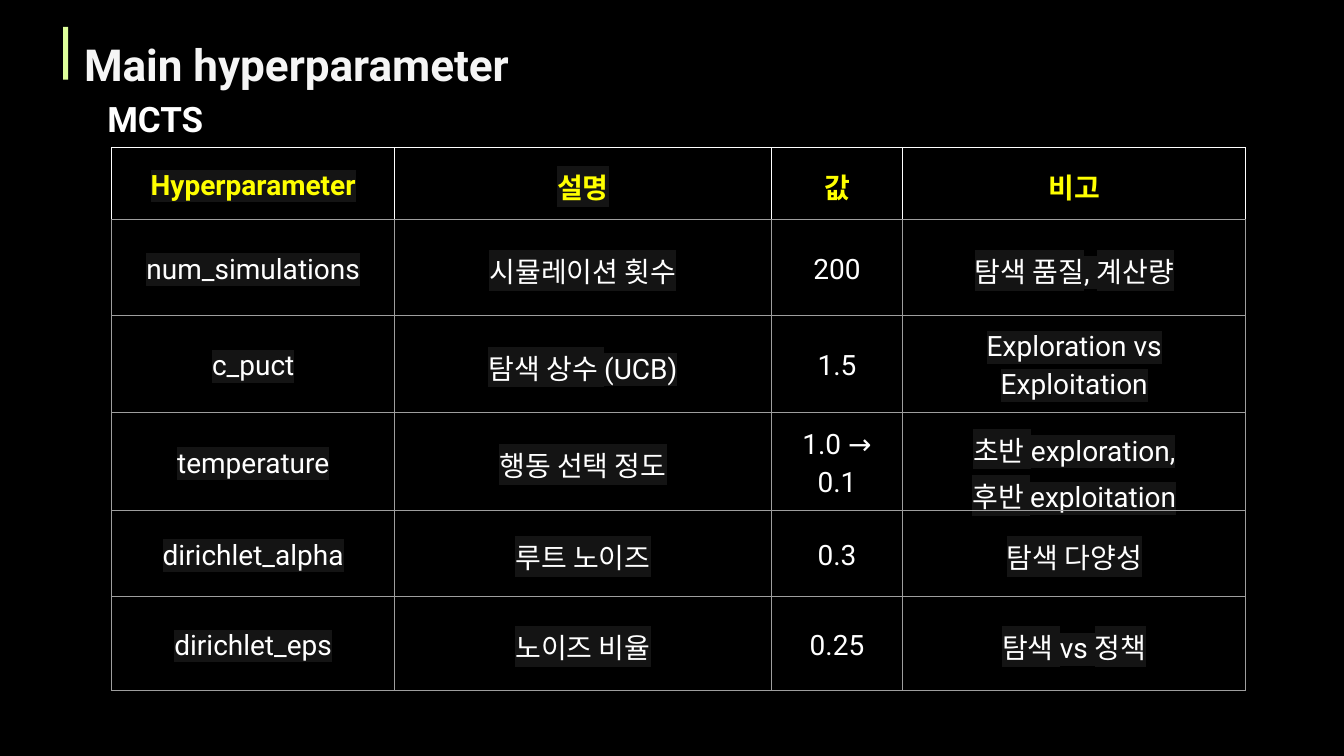
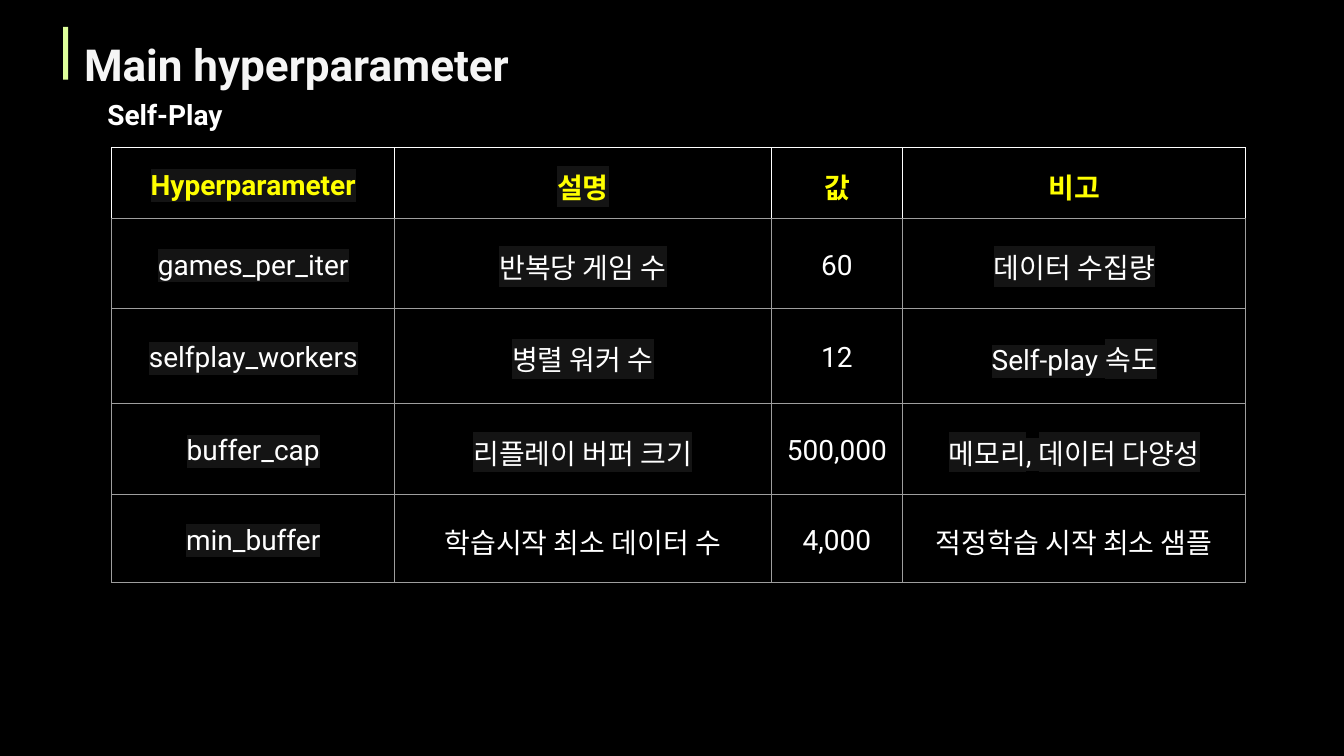
from collections import namedtuple
from dataclasses import dataclass

import lxml.etree
import pptx
import pptx.dml.color
import pptx.enum.shapes
import pptx.enum.text
import pptx.oxml.ns
import pptx.util

Box = namedtuple("Box", "x y w h")
Row = namedtuple("Row", "height cells marked")

COLUMNS, ROWS = 160, 90
UNIT = pptx.util.Inches(1) // 12


@dataclass(frozen=True)
class Theme:
    font: str = "Roboto"
    background: str = "000000"
    title: str = "F5F5F5"
    accent: str = "DEFF9A"
    header: str = "FFFF00"
    text: str = "FFFFFF"
    marker: str = "141414"
    border: str = "9E9E9E"
    header_border: str = "FFFFFF"
    title_size: float = 31.5
    table_size: float = 20
    border_width: float = 0.75
    inset: float = 0.1


THEME = Theme()
COLUMN_WIDTHS = (33.7, 44.8, 15.7, 40.8)
HEADER = ("Hyperparameter", "설명", "값", "비고")
MARKED = (0, 1, 3)

MCTS = (
    Row(8.5, HEADER, (0, 1)),
    Row(11.4, ("num_simulations", "시뮬레이션 횟수", "200", "탐색 품질, 계산량"), MARKED),
    Row(10, ("c_puct", "탐색 상수 (UCB)", "1.5", "Exploration vs Exploitation"), MARKED),
    Row(9.2, ("temperature", "행동 선택 정도", "1.0 → 0.1",
              "초반 exploration,\n후반 exploitation"), MARKED),
    Row(10.3, ("dirichlet_alpha", "루트 노이즈", "0.3", "탐색 다양성"), MARKED),
    Row(11.2, ("dirichlet_eps", "노이즈 비율", "0.25", "탐색 vs 정책"), MARKED),
)
SELF_PLAY = (
    Row(8.4, HEADER, (0, 1)),
    Row(10.7, ("games_per_iter", "반복당 게임 수", "60", "데이터 수집량"), MARKED),
    Row(11.3, ("selfplay_workers", "병렬 워커 수", "12", "Self-play 속도"), MARKED),
    Row(10.9, ("buffer_cap", "리플레이 버퍼 크기", "500,000", "메모리, 데이터 다양성"), MARKED),
    Row(10.4, ("min_buffer", "학습시작 최소 데이터 수", "4,000", "적정학습 시작 최소 샘플"), (0,)),
)


def units(n):
    return pptx.util.Emu(round(n * UNIT))


def rgb(color):
    return pptx.dml.color.RGBColor.from_string(color)


def style(p, size, color, bold):
    p.font.name = THEME.font
    p.font.size = pptx.util.Pt(size)
    p.font.bold = bold
    p.font.color.rgb = rgb(color)


def set_insets(target, inset):
    margin = pptx.util.Inches(inset)
    target.margin_left = target.margin_right = margin
    target.margin_top = target.margin_bottom = margin


def add_color(parent, tag, color):
    holder = lxml.etree.SubElement(parent, pptx.oxml.ns.qn(tag))
    lxml.etree.SubElement(holder, pptx.oxml.ns.qn("a:srgbClr"), val=color)


def set_borders(cell, sides, bottom):
    tcPr = cell._tc.get_or_add_tcPr()
    colors = {"a:lnL": sides, "a:lnR": sides, "a:lnT": sides, "a:lnB": bottom}
    for i, (tag, color) in enumerate(colors.items()):
        ln = lxml.etree.Element(pptx.oxml.ns.qn(tag),
                                w=str(pptx.util.Pt(THEME.border_width)))
        add_color(ln, "a:solidFill", color)
        tcPr.insert(i, ln)


def add_text(slide, box, text, size, color, inset, spacing=None):
    sp = slide.shapes.add_textbox(*map(units, box))
    tf = sp.text_frame
    tf.word_wrap = True
    tf.auto_size = pptx.enum.text.MSO_AUTO_SIZE.SHAPE_TO_FIT_TEXT
    set_insets(tf, inset)
    p = tf.paragraphs[0]
    p.text = text
    p.line_spacing = spacing
    style(p, size, color, True)


def add_heading(slide, box, title):
    bar_width, gap = 0.6, 2.5
    text_box = Box(box.x + gap, box.y, box.w - gap, box.h)
    add_text(slide, text_box, title, THEME.title_size, THEME.title, 0, 1.2)
    bar = slide.shapes.add_shape(pptx.enum.shapes.MSO_SHAPE.RECTANGLE,
                                 *map(units, (box.x, box.y, bar_width, box.h)))
    bar.shadow.inherit = False
    bar.fill.solid()
    bar.fill.fore_color.rgb = rgb(THEME.accent)
    bar.line.fill.background()


def fill_cell(cell, text, is_header, marked):
    cell.fill.background()
    cell.vertical_anchor = pptx.enum.text.MSO_ANCHOR.MIDDLE
    set_insets(cell, THEME.inset)
    sides = THEME.header_border if is_header else THEME.border
    set_borders(cell, sides, THEME.border)
    cell.text_frame.text = text
    for p in cell.text_frame.paragraphs:
        p.alignment = pptx.enum.text.PP_ALIGN.CENTER
        p.line_spacing = 1.15
        style(p, THEME.table_size, THEME.header if is_header else THEME.text, is_header)
        if marked:
            for r in p.runs:
                add_color(r._r.get_or_add_rPr(), "a:highlight", THEME.marker)


def add_parameter_table(slide, box, rows):
    frame = slide.shapes.add_table(len(rows), len(COLUMN_WIDTHS), *map(units, box))
    table = frame.table
    table.first_row = table.horz_banding = False
    for column, width in zip(table.columns, COLUMN_WIDTHS):
        column.width = units(width)
    for i, row in enumerate(rows):
        table.rows[i].height = units(row.height)
        for j, text in enumerate(row.cells):
            fill_cell(table.cell(i, j), text, i == 0, j in row.marked)


def add_parameter_slide(prs, subtitle, subtitle_size, rows):
    slide = prs.slides.add_slide(prs.slide_layouts[6])
    slide.background.fill.solid()
    slide.background.fill.fore_color.rgb = rgb(THEME.background)
    add_heading(slide, Box(7.5, 3.2, 152.1, 6.3), "Main hyperparameter")
    add_text(slide, Box(11.6, 10.4, 34.2, 7), subtitle, subtitle_size,
             THEME.text, THEME.inset)
    height = sum(row.height for row in rows)
    add_parameter_table(slide, Box(13.3, 17.6, sum(COLUMN_WIDTHS), height), rows)


def main():
    prs = pptx.Presentation()
    prs.slide_width, prs.slide_height = units(COLUMNS), units(ROWS)
    add_parameter_slide(prs, "MCTS", 25, MCTS)
    add_parameter_slide(prs, "Self-Play", 20, SELF_PLAY)
    prs.save("out.pptx")


if __name__ == "__main__":
    main()
